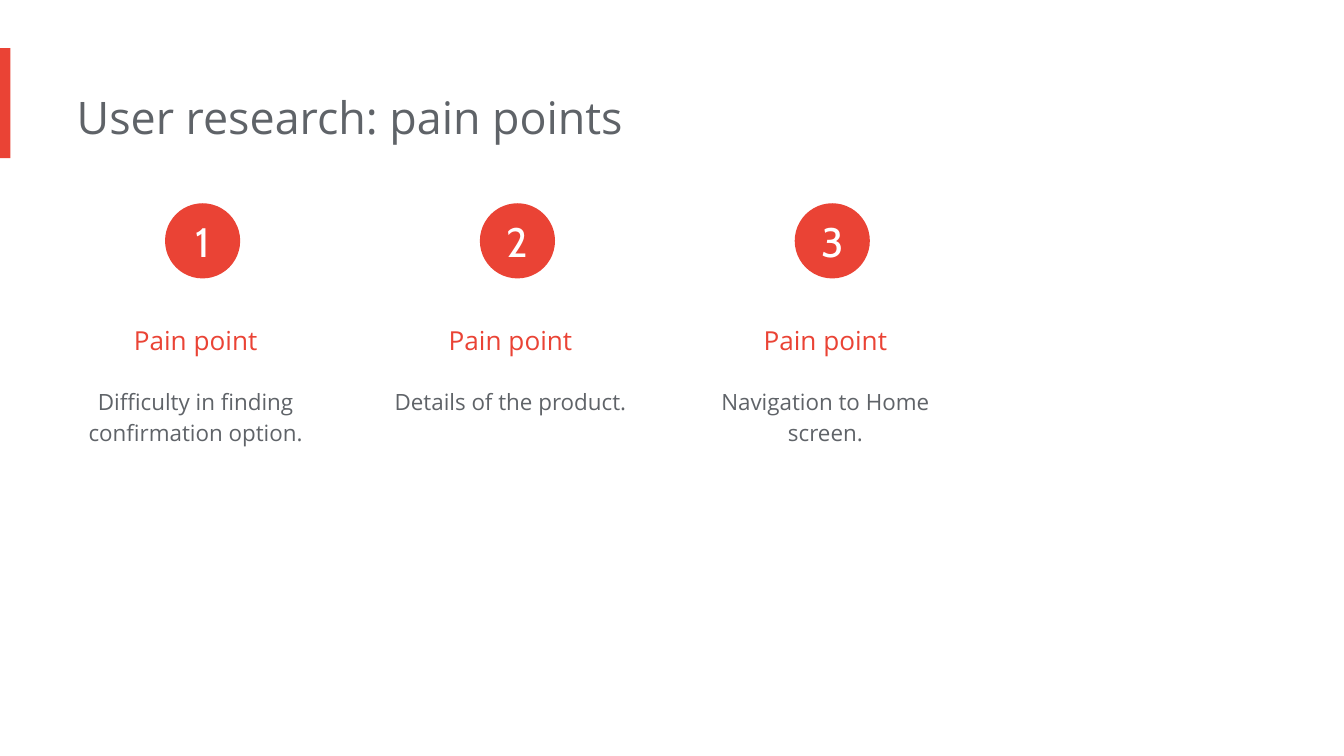
from pptx import Presentation
from pptx.dml.color import RGBColor
from pptx.enum.shapes import MSO_SHAPE
from pptx.enum.text import MSO_ANCHOR, MSO_AUTO_SIZE, PP_ALIGN
from pptx.util import Cm, Pt

RECT, OVAL = MSO_SHAPE.RECTANGLE, MSO_SHAPE.OVAL
TOP, MIDDLE = MSO_ANCHOR.TOP, MSO_ANCHOR.MIDDLE
LEFT, CENTER = PP_ALIGN.LEFT, PP_ALIGN.CENTER
GROW, FIXED = MSO_AUTO_SIZE.SHAPE_TO_FIT_TEXT, MSO_AUTO_SIZE.NONE

# Content
TITLE = "User research: pain points"
HEADING = "Pain point"
# detail text, height of its box in cm
PAIN_POINTS = [
    ("Difficulty in finding confirmation option.", 1.7),
    ("Details of the product.", 1.09),
    ("Navigation to Home screen.", 1.7),
]

# Style
COLORS = {"red": "EA4335", "grey": "5F6368", "white": "FFFFFF"}
STYLES = {
    "title": dict(font="Open Sans", size=24, color="grey", align=LEFT, spacing=1),
    "heading": dict(font="Open Sans", size=14, color="red", align=CENTER, spacing=1.5),
    "detail": dict(font="Open Sans", size=12, color="grey", align=CENTER, spacing=1.15),
    "number": dict(font="Cabin", size=22, color="white", align=CENTER, spacing=1),
}
BOX_FRAME = dict(margin_left=0, margin_top=Cm(0.25), margin_right=Cm(0.25),
                 margin_bottom=Cm(0.25), vertical_anchor=TOP,
                 word_wrap=True, auto_size=GROW)
CIRCLE_FRAME = dict(margin_left=0, margin_top=0, margin_right=0,
                    margin_bottom=0, vertical_anchor=MIDDLE,
                    word_wrap=True, auto_size=FIXED)

# Column grid, in cm
COL_LEFT, COL_STEP, COL_W = 1.22, 5.95, 5.21
CIRCLE_OFFSET, CIRCLE_D = 1.9, 1.42


def color(name):
    return RGBColor.from_string(COLORS[name])


def write(shape, text, style, frame):
    st, tf = STYLES[style], shape.text_frame
    for name, value in frame.items():
        setattr(tf, name, value)
    p = tf.paragraphs[0]
    p.alignment, p.line_spacing = st["align"], st["spacing"]
    r = p.add_run()
    r.text = text
    r.font.name, r.font.size = st["font"], Pt(st["size"])
    r.font.color.rgb = color(st["color"])


def add_text(s, text, style, *box):
    write(s.shapes.add_textbox(*map(Cm, box)), text, style, BOX_FRAME)


def add_filled(s, kind, fill, *box):
    sp = s.shapes.add_shape(kind, *map(Cm, box))
    sp.shadow.inherit = False
    sp.fill.solid()
    sp.fill.fore_color.rgb = color(fill)
    sp.line.fill.background()
    return sp


prs = Presentation()
prs.slide_width, prs.slide_height = Cm(25.4), Cm(14.28)
s = prs.slides.add_slide(prs.slide_layouts[5])

# Accent bar and title
add_filled(s, RECT, "red", 0, 0.91, 0.2, 2.08)
title = s.shapes.title
title.left, title.top, title.width, title.height = map(Cm, (1.45, 1.45, 17.09, 1.55))
write(title, TITLE, "title", BOX_FRAME)

# One column per pain point: circle, heading, detail
for i, (detail, height) in enumerate(PAIN_POINTS):
    x = COL_LEFT + i * COL_STEP
    add_text(s, HEADING, "heading", x, 5.59, COL_W, 1.12)
    add_text(s, detail, "detail", x, 7.01, COL_W, height)
    circle = add_filled(s, OVAL, "red", x + CIRCLE_OFFSET, 3.84, CIRCLE_D, CIRCLE_D)
    write(circle, str(i + 1), "number", CIRCLE_FRAME)

prs.save("out.pptx")
